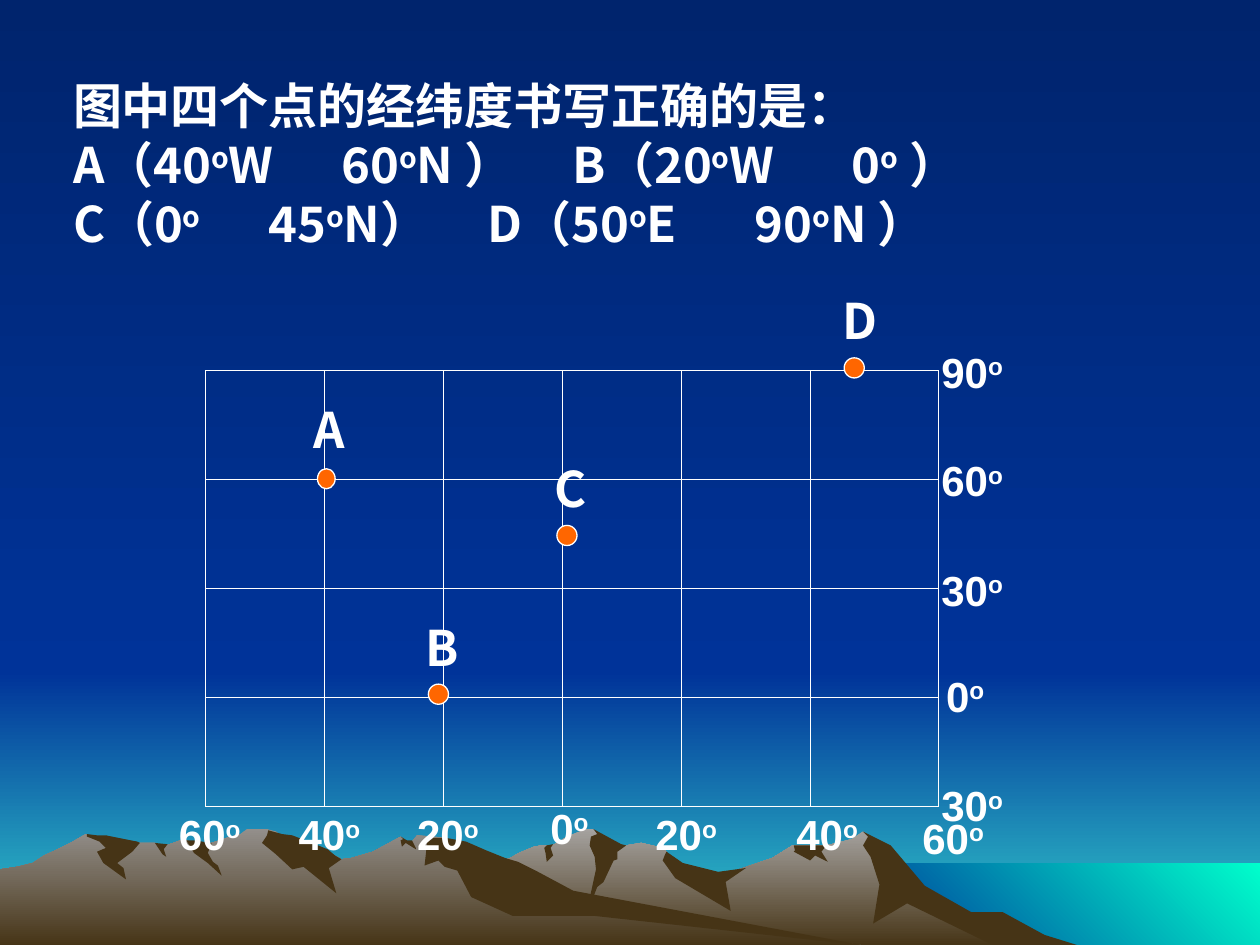
from lxml import etree
from pptx import Presentation
from pptx.dml.color import RGBColor
from pptx.enum.shapes import MSO_CONNECTOR, MSO_SHAPE
from pptx.enum.text import MSO_ANCHOR, MSO_AUTO_SIZE, PP_ALIGN
from pptx.oxml.ns import qn
from pptx.util import Inches, Pt

STRAIGHT, OVAL = MSO_CONNECTOR.STRAIGHT, MSO_SHAPE.OVAL
LEFT, CENTER = PP_ALIGN.LEFT, PP_ALIGN.CENTER
TOP, NO_FIT = MSO_ANCHOR.TOP, MSO_AUTO_SIZE.NONE
LETTER_FONT, NUMBER_FONT = "Noto Sans CJK SC", "Arial"
WHITE, ORANGE, ROCK = "FFFFFF", "FF6600", "463416"

# Backdrop: (fill, outline in inches); a gradient is (start, end, clockwise angle)
SKY_AND_SEA = [
    (("003399", "33CCCC", 90), [(0, 5.33), (10, 5.33), (10, 7.5), (0, 7.5)]),
    (("00246D", "003399", 90), [(0, 0), (10, 0), (10, 5.33), (0, 5.33)]),
    (("003399", "00FFCC", 315), [(6.83, 6.85), (10, 6.85), (10, 7.52), (6.83, 7.52)]),
]
RIGHT_MOUNTAIN = [
    (("A5A29F", ROCK, 90), [
        (8.02, 7.4), (7.78, 7.27), (7.64, 7.23), (7.23, 6.98), (7.02, 6.71), (6.85, 6.6),
        (6.76, 6.66), (6.56, 6.71), (6.29, 6.71), (6.13, 6.81), (5.66, 6.97), (5.36, 6.9),
        (5.29, 6.76), (5.26, 6.73), (5.09, 6.69), (4.97, 6.71), (4.86, 6.73), (4.74, 6.61),
        (4.71, 6.58), (4.65, 6.58), (4.5, 6.64), (4.44, 6.68), (4.38, 6.71), (4.3, 6.71),
        (4.24, 6.72), (4.12, 6.77), (4.05, 6.81), (3.94, 6.85), (3.55, 6.98), (3.27, 7.09),
        (2.77, 7.39), (2.58, 7.51), (8.21, 7.51)]),
    (ROCK, [
        (7.96, 7.24), (7.71, 7.24), (7.34, 7.03), (7.07, 6.71), (6.85, 6.6), (6.89, 6.64),
        (6.85, 6.71), (6.91, 6.8), (6.98, 7.02), (6.93, 7.33), (7.2, 7.17), (7.92, 7.52),
        (8.58, 7.51), (8.29, 7.42)]),
    (ROCK, [
        (4.71, 6.58), (4.74, 6.62), (4.69, 6.64), (4.68, 6.71), (4.72, 6.8), (4.73, 6.9),
        (4.65, 7.27), (4.74, 7.04), (4.79, 7), (4.87, 6.83), (4.9, 6.82), (4.9, 6.76),
        (4.97, 6.71), (4.93, 6.7)]),
    (ROCK, [
        (5.29, 6.76), (5.28, 6.78), (5.26, 6.83), (5.36, 6.97), (5.8, 7.23), (5.76, 7),
        (5.92, 6.89), (5.7, 6.92), (5.42, 6.85)]),
    (ROCK, [
        (6.5, 6.71), (6.3, 6.71), (6.31, 6.75), (6.3, 6.76), (6.43, 6.83), (6.47, 6.79),
        (6.57, 6.84), (6.52, 6.76), (6.56, 6.71)]),
    (ROCK, [
        (4.33, 6.77), (4.32, 6.73), (4.34, 6.71), (4.39, 6.7), (4.37, 6.73), (4.39, 6.79),
        (4.34, 6.84)]),
]
LEFT_MOUNTAIN = [
    (("938F8B", ROCK, 90), [
        (6.9, 7.51), (6.67, 7.48), (4.32, 7.12), (3.54, 6.65), (3.31, 6.63), (3.27, 6.68),
        (3.23, 6.68), (3.18, 6.64), (2.96, 6.76), (2.79, 6.81), (2.71, 6.82), (2.6, 6.76),
        (2.36, 6.81), (2.23, 6.63), (2.19, 6.6), (2.12, 6.58), (1.96, 6.58), (1.91, 6.62),
        (1.83, 6.64), (1.68, 6.69), (1.6, 6.71), (1.48, 6.67), (1.43, 6.67), (1.32, 6.71),
        (1.28, 6.71), (1.23, 6.69), (1.11, 6.69), (0.94, 6.71), (0.68, 6.62), (0.56, 6.69),
        (0.46, 6.74), (0.35, 6.79), (0.26, 6.85), (0.14, 6.88), (0, 6.9), (0, 7.51)]),
    (ROCK, [
        (2.12, 6.63), (2.08, 6.69), (2.19, 6.78), (2.32, 6.9), (2.41, 6.88), (2.67, 7.09),
        (2.61, 6.89), (2.71, 6.82), (2.66, 6.79), (2.6, 6.74), (2.45, 6.68), (2.32, 6.63),
        (2.24, 6.62), (2.13, 6.59)]),
    (ROCK, [
        (3.7, 6.68), (3.54, 6.65), (3.44, 6.65), (3.39, 6.69), (3.37, 6.87), (3.48, 6.83),
        (3.53, 6.88), (3.63, 6.91), (3.74, 7.12), (4.07, 7.27), (4.72, 7.27), (6.9, 7.51),
        (6.83, 7.5), (4.55, 7.07), (4.27, 6.92), (4.11, 6.84), (4.01, 6.81), (3.86, 6.75)]),
    (ROCK, [
        (3.18, 6.67), (3.2, 6.66), (3.18, 6.64), (3.23, 6.67), (3.27, 6.67), (3.3, 6.73),
        (3.3, 6.74), (3.22, 6.69), (3.19, 6.72)]),
    (ROCK, [
        (1.54, 6.67), (1.61, 6.68), (1.68, 6.69), (1.65, 6.77), (1.69, 6.84), (1.73, 6.87),
        (1.76, 6.95), (1.65, 6.85), (1.54, 6.77), (1.48, 6.67)]),
    (ROCK, [
        (1.33, 6.7), (1.3, 6.74), (1.32, 6.8), (1.29, 6.78), (1.23, 6.69)]),
    (ROCK, [
        (1.09, 6.68), (1.11, 6.69), (1.05, 6.76), (0.93, 6.85), (0.98, 6.89), (1, 6.98),
        (0.82, 6.85), (0.77, 6.76), (0.84, 6.73), (0.79, 6.68), (0.69, 6.64), (0.69, 6.62),
        (0.77, 6.63), (0.84, 6.63), (0.94, 6.65)]),
]

# Question lines with their tab stops; each ° becomes a raised o
QUESTION = [
    ("图中四个点的经纬度书写正确的是：", []),
    ("A（40°W\t60°N ）\tB（20°W\t0° ）", [2.13, 3.96, 6.18]),
    ("C（0°\t45°N）\tD（50°E\t90°N ）", [1.55, 3.29, 5.41]),
]

# Map grid: the two eastern columns are a little wider
MERIDIANS = [1.63 + 0.945 * i for i in range(5)] + [6.43, 7.45]
PARALLELS = [2.94 + 0.865 * i for i in range(5)]
LONGITUDES = [("60°", 1.31, 6.37), ("40°", 2.26, 6.37), ("20°", 3.2, 6.37), ("0°", 4.26, 6.32),
              ("20°", 5.09, 6.37), ("40°", 6.21, 6.37), ("60°", 7.21, 6.4)]
LATITUDES = [("90°", 7.36, 2.7), ("60°", 7.36, 3.56), ("30°", 7.36, 4.43), ("0°", 7.4, 5.27),
             ("30°", 7.36, 6.14)]
# Point: name, dot left, dot top, dot width, letter left, letter top
POINTS = [("D", 6.7, 2.84, 0.16, 6.59, 2.23), ("C", 4.42, 4.17, 0.16, 4.3, 3.56),
          ("B", 3.4, 5.43, 0.16, 3.28, 4.82), ("A", 2.52, 3.72, 0.14, 2.39, 3.09)]


def color(value):
    return RGBColor.from_string(value)


def set_fill(fill, paint):
    if isinstance(paint, str):
        fill.solid()
        fill.fore_color.rgb = color(paint)
        return
    start, end, angle = paint
    fill.gradient()
    fill.gradient_angle = (360 - angle) % 360
    for stop, value in zip(fill.gradient_stops, (start, end)):
        stop.color.rgb = color(value)


def add_outline(page, paint, points):
    corners = [(Inches(x), Inches(y)) for x, y in points]
    builder = page.shapes.build_freeform(*corners[0])
    builder.add_line_segments(corners[1:], close=True)
    shape = builder.convert_to_shape()
    shape.shadow.inherit = False
    set_fill(shape.fill, paint)
    shape.line.fill.background()


def add_grid_line(page, x1, y1, x2, y2):
    line = page.shapes.add_connector(STRAIGHT, Inches(x1), Inches(y1), Inches(x2), Inches(y2))
    line.line.color.rgb = color(WHITE)
    line.line.width = Pt(0.75)
    etree.SubElement(line._element.spPr, qn("a:effectLst"))


def add_dot(page, left, top, width):
    dot = page.shapes.add_shape(OVAL, Inches(left), Inches(top), Inches(width), Inches(0.16))
    dot.shadow.inherit = False
    set_fill(dot.fill, ORANGE)
    dot.line.color.rgb = color(WHITE)
    dot.line.width = Pt(0.75)


def add_span(para, text, font, size, raised=False):
    span = para.add_run()
    span.text = text
    span.font.name, span.font.size, span.font.bold = font, Pt(size), True
    span.font.color.rgb = color(WHITE)
    properties = span._r.get_or_add_rPr()
    etree.SubElement(properties, qn("a:ea"), typeface=font)
    if raised:
        properties.set("baseline", "30000")


def add_degree_text(para, text, font, size):
    for index, part in enumerate(text.split("°")):
        if index:
            add_span(para, "o", font, size, raised=True)
        if part:
            add_span(para, part, font, size)


def add_label(page, text, left, top, width, height, font, size):
    box = page.shapes.add_textbox(Inches(left), Inches(top), Inches(width), Inches(height))
    frame = box.text_frame
    frame.word_wrap = False
    para = frame.paragraphs[0]
    para.alignment = CENTER
    if font == LETTER_FONT:
        frame.margin_top = Inches(0.08)
        para.line_spacing = Pt(33.6)
    add_degree_text(para, text, font, size)


def write_question(page):
    title = page.shapes.title
    title.left, title.top = Inches(0.48), Inches(0.52)
    title.width, title.height = Inches(7.75), Inches(1.5)
    frame = title.text_frame
    frame.auto_size, frame.vertical_anchor, frame.word_wrap = NO_FIT, TOP, True
    frame.margin_top = Inches(0.08)
    for index, (text, stops) in enumerate(QUESTION):
        para = frame.add_paragraph() if index else frame.paragraphs[0]
        para.alignment = LEFT
        para.line_spacing = Pt(33.6)
        if stops:
            tabs = etree.SubElement(para._p.get_or_add_pPr(), qn("a:tabLst"))
            for stop in stops:
                etree.SubElement(tabs, qn("a:tab"), pos=str(Inches(stop)), algn="l")
        add_degree_text(para, text, LETTER_FONT, 28)
    # Bring the question in front of the backdrop
    page.shapes._spTree.append(title._element)


def main():
    deck = Presentation()
    deck.slide_width, deck.slide_height = Inches(10), Inches(7.5)
    page = deck.slides.add_slide(deck.slide_layouts[5])
    set_fill(page.background.fill, ("001847", "003399", 90))
    for paint, points in SKY_AND_SEA + RIGHT_MOUNTAIN + LEFT_MOUNTAIN:
        add_outline(page, paint, points)
    # Map grid
    for y in PARALLELS:
        add_grid_line(page, MERIDIANS[0], y, MERIDIANS[-1], y)
    for x in MERIDIANS:
        add_grid_line(page, x, PARALLELS[0], x, PARALLELS[-1])
    # Points and degree labels
    for name, dot_left, dot_top, dot_width, left, top in POINTS:
        add_dot(page, dot_left, dot_top, dot_width)
        add_label(page, name, left, top, 0.4, 0.57, LETTER_FONT, 28)
    for text, left, top in LATITUDES + LONGITUDES:
        add_label(page, text, left, top, 0.52 if text == "0°" else 0.71, 0.5, NUMBER_FONT, 24)
    write_question(page)
    deck.save("out.pptx")


if __name__ == "__main__":
    main()
